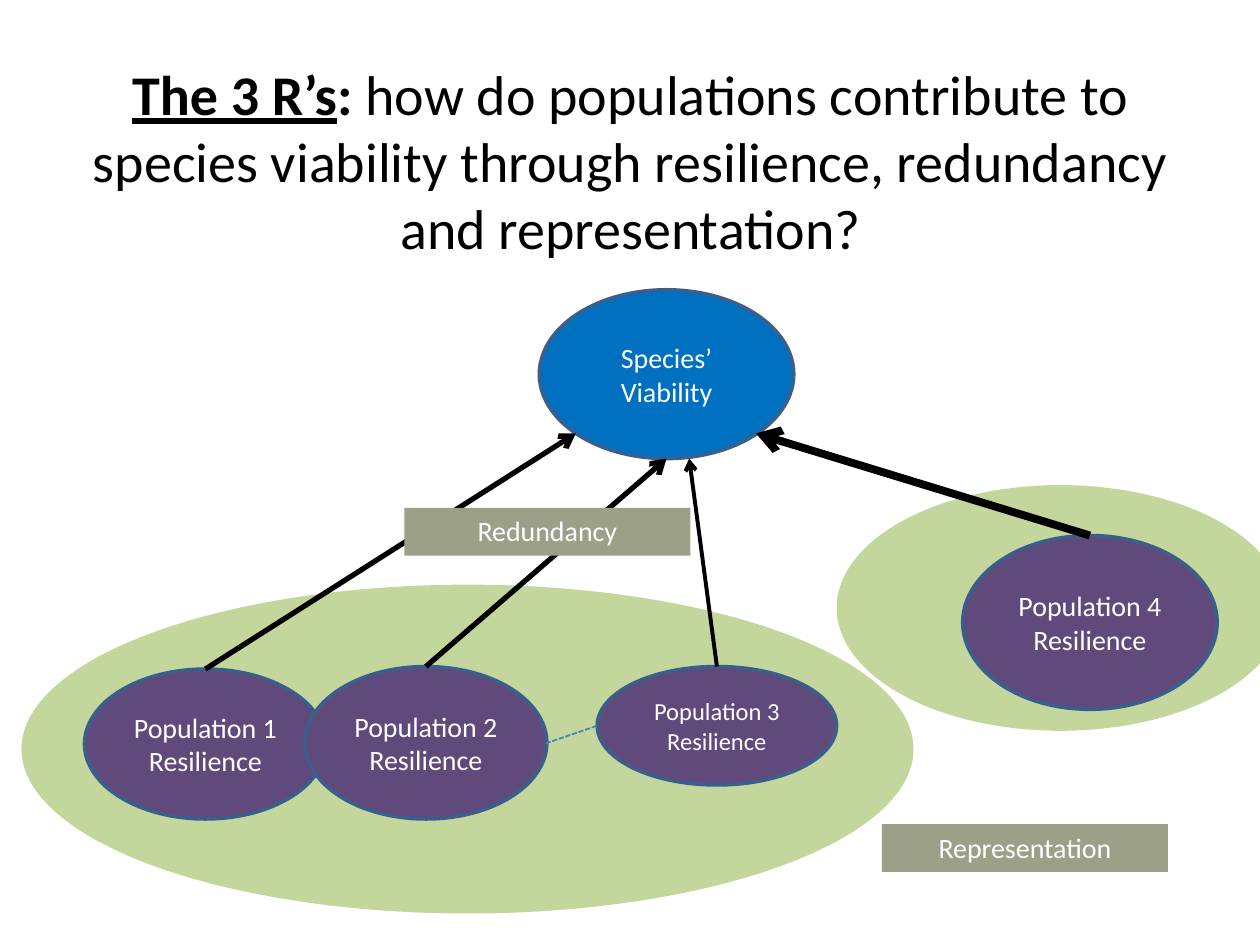
from lxml.etree import SubElement
from pptx import Presentation
from pptx.dml.color import RGBColor
from pptx.enum.dml import MSO_LINE_DASH_STYLE as Dash
from pptx.enum.shapes import MSO_CONNECTOR as Connector, MSO_SHAPE as Shape
from pptx.enum.text import MSO_ANCHOR as Anchor, MSO_AUTO_SIZE as AutoSize, PP_ALIGN as Align
from pptx.oxml.ns import qn
from pptx.util import Inches, Pt

COLORS = {
    "text": "000000", "light": "FFFFFF", "habitat": "C3D69B",
    "species": "0070C0", "population": "604A7B", "outline": "3A5F8C",
    "label": "9DA088", "link": "4B7EBC",
}


class SlideBuilder:
    font = "Calibri"

    def __init__(self, slide):
        self.slide = slide

    def color(self, name):
        return RGBColor.from_string(COLORS[name])

    def add_run(self, paragraph, text, size, color="light", bold=False, underline=False):
        run = paragraph.add_run()
        run.text = text
        run.font.name = self.font
        run.font.size = Pt(size)
        run.font.bold = bold
        run.font.underline = underline
        run.font.color.rgb = self.color(color)

    def title(self, runs, left, top, width, height, size=32):
        title = self.slide.shapes.title
        title.left, title.top = Inches(left), Inches(top)
        title.width, title.height = Inches(width), Inches(height)
        frame = title.text_frame
        frame.word_wrap = True
        frame.auto_size = AutoSize.NONE
        frame.vertical_anchor = Anchor.TOP
        paragraph = frame.paragraphs[0]
        paragraph.alignment = Align.CENTER
        paragraph.space_before, paragraph.space_after = Pt(0), Pt(12)
        for text, bold, underline in runs:
            self.add_run(paragraph, text, size, "text", bold, underline)

    def ellipse(self, left, top, width, height, fill, text="", size=16):
        ellipse = self.slide.shapes.add_shape(
            Shape.OVAL, Inches(left), Inches(top), Inches(width), Inches(height))
        ellipse.shadow.inherit = False
        ellipse.fill.solid()
        ellipse.fill.fore_color.rgb = self.color(fill)
        if not text:
            ellipse.line.fill.background()
            return ellipse
        ellipse.line.color.rgb = self.color("outline")
        ellipse.line.width = Pt(2)
        frame = ellipse.text_frame
        frame.word_wrap = True
        frame.vertical_anchor = Anchor.MIDDLE
        frame.paragraphs[0].alignment = Align.CENTER
        self.add_run(frame.paragraphs[0], text, size)
        return ellipse

    def label(self, text, left, top, width=2.27, height=0.38, size=16):
        label = self.slide.shapes.add_textbox(
            Inches(left), Inches(top), Inches(width), Inches(height))
        label.fill.solid()
        label.fill.fore_color.rgb = self.color("label")
        label.text_frame.word_wrap = False
        paragraph = label.text_frame.paragraphs[0]
        paragraph.alignment = Align.CENTER
        self.add_run(paragraph, text, size)

    def line(self, start, end, weight, color="text"):
        line = self.slide.shapes.add_connector(Connector.STRAIGHT, *start, *end)
        line.line.color.rgb = self.color(color)
        line.line.width = Pt(weight)
        SubElement(line._element.spPr, qn("a:effectLst"))
        return line

    def arrow(self, source, tip_x, tip_y, weight):
        """Arrow from the top centre of an ellipse to a point."""
        start = (source.left + source.width // 2, source.top)
        arrow = self.line(start, (Inches(tip_x), Inches(tip_y)), weight)
        SubElement(arrow.line._get_or_add_ln(), qn("a:tailEnd"), type="arrow")

    def dashed_link(self, start, end):
        link = self.line([Inches(v) for v in start], [Inches(v) for v in end], 1, "link")
        link.line.dash_style = Dash.SQUARE_DOT


def main():
    prs = Presentation()
    prs.slide_width, prs.slide_height = Inches(10), Inches(7.5)
    builder = SlideBuilder(prs.slides.add_slide(prs.slide_layouts[5]))

    # Title
    builder.title([
        ("The 3 R’s", True, True),
        (": ", True, False),
        ("how do populations contribute to species viability through "
         "resilience, redundancy and representation?", False, False),
    ], 0.26, 0.42, 9.49, 1.75)

    # Main habitat, species and its three populations
    builder.ellipse(0.17, 4.64, 7.08, 2.61, "habitat")
    builder.ellipse(4.28, 2.3, 2.02, 1.34, "species", "Species’ Viability")
    population_1, population_2, population_3 = [
        builder.ellipse(*box, "population", f"Population {number} Resilience", size)
        for number, (box, size) in enumerate([
            ((0.67, 5.31, 1.92, 1.19), 16),
            ((2.42, 5.29, 1.92, 1.21), 16),
            ((4.74, 5.29, 1.9, 0.94), 14),
        ], start=1)
    ]

    # Separate habitat with the fourth population
    builder.ellipse(6.64, 3.85, 3.55, 1.95, "habitat")
    population_4 = builder.ellipse(
        7.64, 4.25, 2.02, 1.38, "population", "Population 4 Resilience")

    # Contributions to viability, heavier for stronger ones
    for population, tip_x, tip_y, weight in [
        (population_1, 4.57, 3.44, 3),
        (population_2, 5.29, 3.64, 3),
        (population_3, 5.47, 3.64, 2.25),
        (population_4, 6, 3.44, 4.5),
    ]:
        builder.arrow(population, tip_x, tip_y, weight)

    # Labels and the weak link between populations 2 and 3
    builder.label("Redundancy", 3.21, 4.03)
    builder.dashed_link((4.33, 5.9), (4.74, 5.76))
    builder.label("Representation", 7, 6.54)

    prs.save("out.pptx")


if __name__ == "__main__":
    main()
